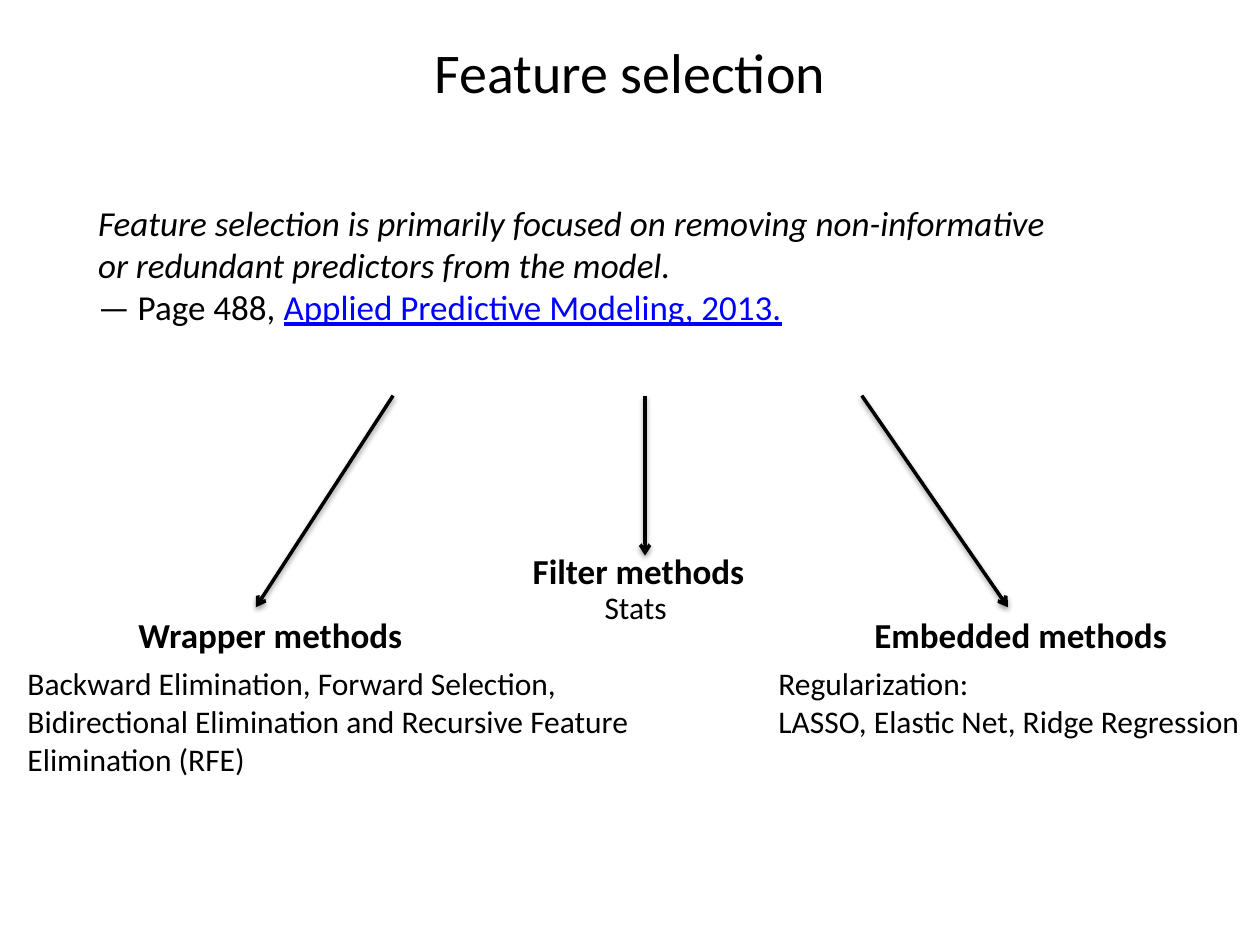
from lxml.etree import SubElement as Sub
from pptx import Presentation
from pptx.dml.color import RGBColor
from pptx.enum.shapes import MSO_CONNECTOR
from pptx.enum.text import MSO_ANCHOR, MSO_AUTO_SIZE, PP_ALIGN
from pptx.oxml.ns import qn
from pptx.util import Inches, Pt

BLACK = RGBColor(0, 0, 0)
BLUE = RGBColor(0, 0, 255)
FONT = "Calibri"

TITLE = "Feature selection"
QUOTE = [
    "Feature selection is primarily focused on removing non-informative",
    "or redundant predictors from the model.",
    "— Page 488, ",
]
BOOK = "Applied Predictive Modeling, 2013."
HEADS = [
    ("Embedded methods", 6.84, 4.82, 2.55),
    ("Wrapper methods", 1, 4.82, 2.33),
    ("Filter methods", 4.13, 4.31, 1.9),
]
NOTES = [
    (["Backward Elimination, Forward Selection, Bidirectional Elimination "
      "and Recursive Feature Elimination (RFE)"], 0.12, 5.22, 5, 1.01, True),
    (["Regularization:", "LASSO, Elastic Net, Ridge Regression"],
     6.08, 5.22, 3.92, 0.71, False),
    (["Stats"], 4.7, 4.62, 0.7, 0.4, False),
]
TOP = 3.14
ARROWS = [(3.12, 2.03, 4.82), (5.12, 5.12, 4.41), (6.84, 8, 4.82)]


def style(run, size, bold=False, italic=False, color=BLACK):
    font = run.font
    font.name, font.size = FONT, Pt(size)
    font.bold, font.italic = bold, italic
    font.color.rgb = color


def add_text(slide, lines, left, top, width, height, size, wrap=False, bold=False):
    box = slide.shapes.add_textbox(*map(Inches, (left, top, width, height)))
    frame = box.text_frame
    frame.text = "\n".join(lines)
    frame.word_wrap = wrap
    frame.auto_size = MSO_AUTO_SIZE.SHAPE_TO_FIT_TEXT
    for para in frame.paragraphs:
        style(para.runs[0], size, bold)
    return frame


def add_arrow(slide, start, end, base):
    line = slide.shapes.add_connector(
        MSO_CONNECTOR.STRAIGHT, *map(Inches, (start, TOP, end, base)))
    line.line.color.rgb = BLACK
    line.line.width = Pt(2)
    props = line._element.spPr
    Sub(props.find(qn("a:ln")), qn("a:tailEnd"), type="arrow")
    effects = Sub(props, qn("a:effectLst"))
    shade = Sub(effects, qn("a:outerShdw"), blurRad=str(Pt(3.1)),
                dist=str(Pt(1.6)), dir="5400000", rotWithShape="0")
    tint = Sub(shade, qn("a:srgbClr"), val=str(BLACK))
    Sub(tint, qn("a:alpha"), val="38000")


def main():
    deck = Presentation()
    deck.slide_width, deck.slide_height = Inches(10), Inches(7.5)
    slide = deck.slides.add_slide(deck.slide_layouts[5])

    title = slide.shapes.title
    title.left, title.top = Inches(0.5), Inches(0.14)
    title.width, title.height = Inches(9), Inches(0.85)
    frame = title.text_frame
    frame.text = TITLE
    frame.vertical_anchor = MSO_ANCHOR.MIDDLE
    frame.paragraphs[0].alignment = PP_ALIGN.CENTER
    style(frame.paragraphs[0].runs[0], 32)

    quote = add_text(slide, QUOTE, 0.68, 1.55, 8.89, 1.11, 20, wrap=True)
    for para in quote.paragraphs[:2]:
        para.runs[0].font.italic = True
    book = quote.paragraphs[2].add_run()
    book.text = BOOK
    style(book, 20, color=BLUE)
    book.font.underline = True

    for lines, left, top, width, height, wrap in NOTES:
        add_text(slide, lines, left, top, width, height, 18, wrap)
    for head, left, top, width in HEADS:
        add_text(slide, [head], left, top, width, 0.44, 20, bold=True)
    for start, end, base in ARROWS:
        add_arrow(slide, start, end, base)

    deck.save("out.pptx")


if __name__ == "__main__":
    main()
